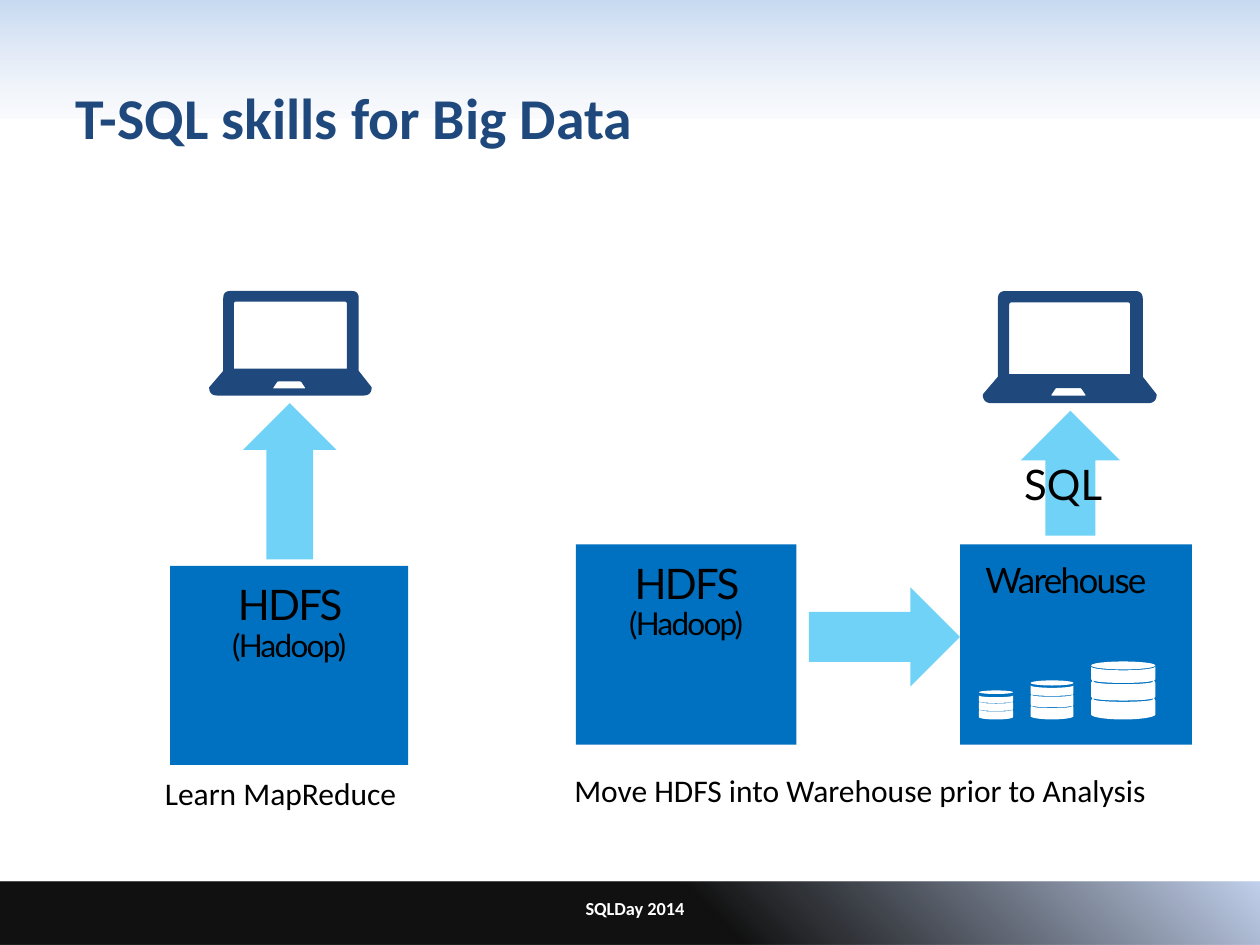
from dataclasses import dataclass
from math import cos, pi, sin
from typing import NamedTuple

from lxml.etree import SubElement
from pptx import Presentation
from pptx.dml.color import RGBColor
from pptx.enum.shapes import MSO_SHAPE as Preset
from pptx.enum.text import MSO_ANCHOR as Anchor, PP_ALIGN as Align
from pptx.oxml.ns import qn
from pptx.util import Inches, Pt


@dataclass(frozen=True)
class Theme:
    navy: str = "1F497D"
    block: str = "0070C0"
    arrow: str = "00B0F0"
    arrow_alpha: int = 56
    white: str = "FFFFFF"
    black: str = "000000"
    body_font: str = "Calibri"
    diagram_font: str = "Lato"
    title_size: float = 33
    label_size: float = 24
    warehouse_size: float = 20
    caption_size: float = 18
    footer_size: float = 10.5


class Box(NamedTuple):
    left: float
    top: float
    width: float
    height: float

    def lengths(self) -> list:
        return [Inches(value) for value in self]


class Stop(NamedTuple):
    position: int
    color: str
    alpha: int = 100


class Corner(NamedTuple):
    x: float
    y: float
    radius: float = 0


class Words(NamedTuple):
    text: str
    size: float


Point = tuple[float, float]
THEME = Theme()

# Laptop outline, trackpad and screen, drawn in a 1.38 x 0.89 frame
LAPTOP_FRAME = (1.38, 0.89)
LAPTOP = [
    [Corner(1.27, 0.68), Corner(1.27, 0, 0.06), Corner(0.12, 0, 0.06), Corner(0.12, 0.68),
     Corner(0, 0.82), Corner(0, 0.89, 0.07), Corner(1.38, 0.89, 0.07), Corner(1.38, 0.82)],
    [Corner(0.54, 0.83, 0.01), Corner(0.58, 0.77, 0.01),
     Corner(0.78, 0.77, 0.01), Corner(0.82, 0.83, 0.01)],
    [Corner(1.17, 0.66), Corner(1.17, 0.09, 0.02), Corner(0.21, 0.09, 0.02), Corner(0.21, 0.66)],
]
DRUM_FRAME = (0.51, 0.42)


def set_fill(shape, color: str, alpha: int = 100) -> None:
    shape.shadow.inherit = False
    shape.line.fill.background()
    shape.fill.solid()
    shape.fill.fore_color.rgb = RGBColor.from_string(color)
    if alpha < 100:
        srgb = shape.fill._xPr.find(qn("a:solidFill")).find(qn("a:srgbClr"))
        SubElement(srgb, qn("a:alpha"), val=str(alpha * 1000))


def add_preset(slide, preset, box: Box, color: str, alpha: int = 100):
    shape = slide.shapes.add_shape(preset, *box.lengths())
    set_fill(shape, color, alpha)
    return shape


def add_gradient_band(slide, box: Box, stops: list[Stop], angle: int) -> None:
    band = add_preset(slide, Preset.RECTANGLE, box, THEME.white)
    band.fill.gradient()
    gradient = band.fill._xPr.find(qn("a:gradFill"))
    for child in list(gradient):
        gradient.remove(child)
    stop_list = SubElement(gradient, qn("a:gsLst"))
    for stop in stops:
        entry = SubElement(stop_list, qn("a:gs"), pos=str(stop.position * 1000))
        color = SubElement(entry, qn("a:srgbClr"), val=stop.color)
        SubElement(color, qn("a:alpha"), val=str(stop.alpha * 1000))
    SubElement(gradient, qn("a:lin"), ang=str(angle * 60000), scaled="0")


def write(frame, words: list[Words], font: str, color: str, align=Align.LEFT,
          bold: bool = False, spacing: int = 0) -> None:
    """Fill the frame's first paragraph; spacing is in hundredths of a point."""
    frame.word_wrap = True
    paragraph = frame.paragraphs[0]
    paragraph.alignment = align
    paragraph.font.name = font
    paragraph.font.bold = bold
    paragraph.font.color.rgb = RGBColor.from_string(color)
    for part in words:
        run = paragraph.add_run()
        run.text = part.text
        run.font.size = Pt(part.size)
        if spacing:
            run._r.get_or_add_rPr().set("spc", str(spacing))


def add_label(slide, box: Box, text: str, size: float, font: str = THEME.body_font,
              color: str = THEME.black, anchor=Anchor.TOP, **style) -> None:
    frame = slide.shapes.add_textbox(*box.lengths()).text_frame
    frame.vertical_anchor = anchor
    write(frame, [Words(text, size)], font, color, **style)


def add_block(slide, box: Box, words: list[Words], align=Align.CENTER) -> None:
    frame = add_preset(slide, Preset.RECTANGLE, box, THEME.block).text_frame
    frame.vertical_anchor = Anchor.TOP
    frame.margin_left = frame.margin_right = Inches(0.2)
    frame.margin_top = frame.margin_bottom = Inches(0.15)
    frame.paragraphs[0].line_spacing = 0.9
    write(frame, words, THEME.diagram_font, THEME.black, align, spacing=-100)


def add_outline(slide, box: Box, frame: Point, contours: list[list[Point]], color: str) -> None:
    """Draw closed contours, given in frame units, stretched to the box."""
    def place(point: Point) -> Point:
        return (Inches(box.left + point[0] * box.width / frame[0]),
                Inches(box.top + point[1] * box.height / frame[1]))

    builder = slide.shapes.build_freeform(*place(contours[0][0]))
    for index, contour in enumerate(contours):
        if index:
            builder.move_to(*place(contour[0]))
        builder.add_line_segments([place(point) for point in contour[1:]], close=True)
    set_fill(builder.convert_to_shape(), color)


def round_corners(corners: list[Corner], steps: int = 6) -> list[Point]:
    points = []
    for index, corner in enumerate(corners):
        if not corner.radius:
            points.append((corner.x, corner.y))
            continue
        ends = []
        for other in (corners[index - 1], corners[(index + 1) % len(corners)]):
            dx, dy = other.x - corner.x, other.y - corner.y
            share = corner.radius / (dx * dx + dy * dy) ** 0.5
            ends.append((corner.x + dx * share, corner.y + dy * share))
        for step in range(steps + 1):
            t = step / steps
            points.append(tuple((1 - t) ** 2 * a + 2 * t * (1 - t) * c + t * t * b
                                for a, c, b in zip(ends[0], corner[:2], ends[1])))
    return points


def sagging_arc(left: float, right: float, y: float, sag: float, steps: int = 16) -> list[Point]:
    middle, half = (left + right) / 2, (right - left) / 2
    return [(middle - half * cos(pi * i / steps), y + sag * sin(pi * i / steps))
            for i in range(steps + 1)]


def add_laptop(slide, box: Box) -> None:
    add_outline(slide, box, LAPTOP_FRAME, [round_corners(part) for part in LAPTOP], THEME.navy)


def add_drum(slide, box: Box) -> None:
    """Draw a database drum: a lid above a body with two slits."""
    width, height = DRUM_FRAME
    notches = [(0.01 * inset, seam + dy) for seam in (0.11, 0.25)
               for inset, dy in ((0, -0.01), (1, 0), (0, 0.02))]
    body = (sagging_arc(0, width, 0, 0.03)
            + [(width - x, y) for x, y in notches]
            + sagging_arc(0, width, 0.38, 0.04)[::-1]
            + notches[::-1])
    slits = [sagging_arc(0.02, 0.49, y, 0.02) + sagging_arc(0.02, 0.49, y + 0.01, 0.02)[::-1]
             for y in (0.11, 0.25)]
    lid = Box(box.left, box.top - 0.04, box.width, box.height * 0.15)
    add_preset(slide, Preset.OVAL, lid, THEME.white)
    add_outline(slide, box, DRUM_FRAME, [body, *slits], THEME.white)


def main() -> None:
    deck = Presentation()
    deck.slide_width, deck.slide_height = Inches(10), Inches(7.5)
    slide = deck.slides.add_slide(deck.slide_layouts[6])

    pale = Stop(100, "E1E8F5", 16)
    add_gradient_band(slide, Box(0, 0, 10, 0.94),
                      [Stop(0, "DCE6F2", 41), Stop(0, "C6D9F1"), pale], 90)
    add_gradient_band(slide, Box(0, 7, 10, 0.5),
                      [Stop(56, THEME.black, 93), Stop(100, "C2D1ED"), pale], 315)
    add_label(slide, Box(0.5, 0.3, 9, 1.25), "T-SQL skills for Big Data", THEME.title_size,
              color=THEME.navy, anchor=Anchor.MIDDLE, bold=True)
    add_label(slide, Box(2.83, 7, 4.42, 0.42), "SQLDay 2014", THEME.footer_size,
              color=THEME.white, anchor=Anchor.MIDDLE, align=Align.CENTER, bold=True)

    hdfs = [Words("HDFS ", THEME.label_size), Words("(Hadoop)", THEME.caption_size)]
    add_block(slide, Box(1.35, 4.49, 1.89, 1.58), hdfs)
    add_block(slide, Box(4.57, 4.32, 1.75, 1.59), hdfs)
    add_block(slide, Box(7.62, 4.32, 1.84, 1.59),
              [Words("Warehouse", THEME.warehouse_size)], Align.LEFT)

    for laptop in (Box(1.66, 2.31, 1.29, 0.83), Box(7.8, 2.31, 1.38, 0.89)):
        add_laptop(slide, laptop)
    for preset, arrow in ((Preset.UP_ARROW, Box(1.93, 3.2, 0.74, 1.24)),
                          (Preset.RIGHT_ARROW, Box(6.42, 4.66, 1.2, 0.79)),
                          (Preset.UP_ARROW, Box(8.1, 3.26, 0.79, 0.99))):
        add_preset(slide, preset, arrow, THEME.arrow, THEME.arrow_alpha)
    for drum in (Box(8.66, 5.29, 0.51, 0.42), Box(8.18, 5.44, 0.34, 0.27),
                 Box(7.77, 5.52, 0.27, 0.19)):
        add_drum(slide, drum)

    add_label(slide, Box(8.03, 3.59, 1.33, 0.5), "SQL", THEME.label_size, THEME.diagram_font)
    add_label(slide, Box(1.21, 6.09, 2.18, 0.4), "Learn MapReduce", THEME.caption_size)
    add_label(slide, Box(4.46, 6.07, 5.17, 0.4),
              "Move HDFS into Warehouse prior to Analysis", THEME.caption_size)
    deck.save("out.pptx")


if __name__ == "__main__":
    main()
